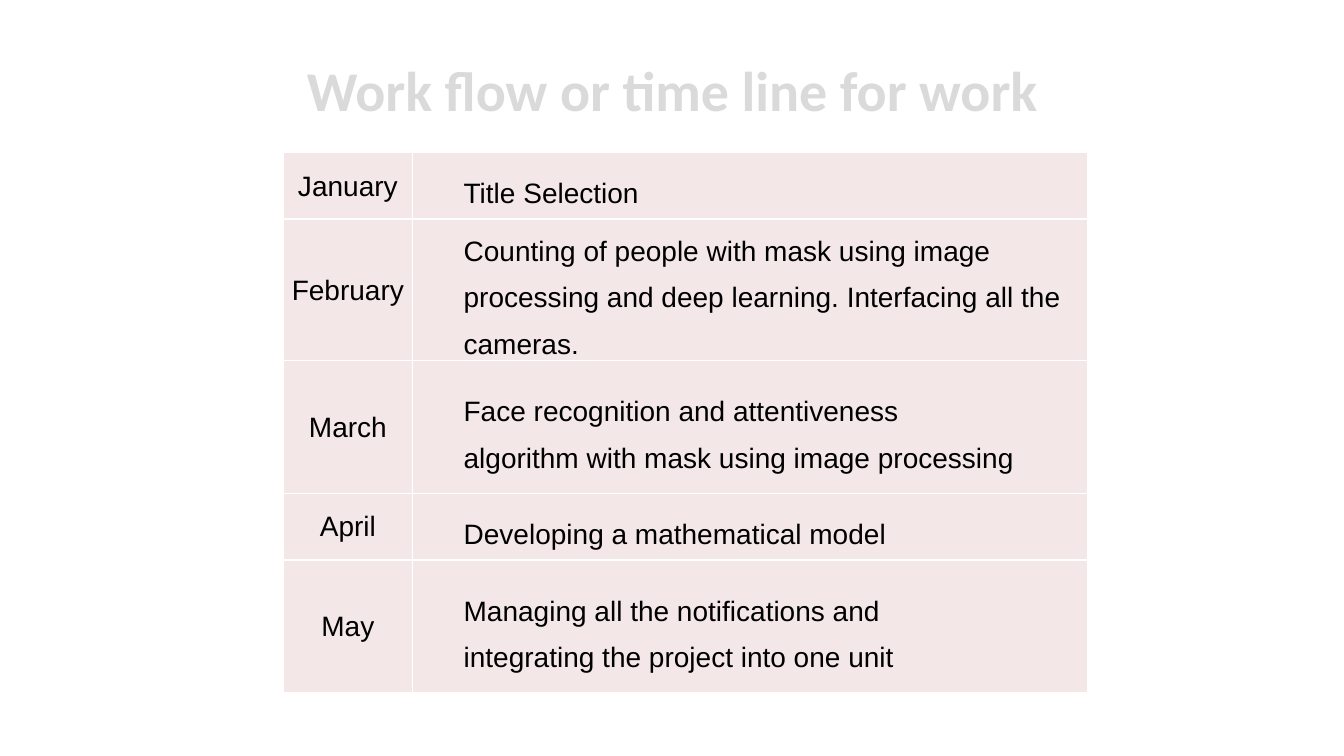
from dataclasses import dataclass

from lxml.etree import SubElement
from pptx import Presentation
from pptx.dml.color import RGBColor
from pptx.enum.text import MSO_ANCHOR as Anchor, MSO_AUTO_SIZE as AutoSize, PP_ALIGN as Align
from pptx.oxml import parse_xml
from pptx.oxml.ns import nsdecls, qn
from pptx.util import Pt


@dataclass(frozen=True)
class Theme:
    title_color: str = "DADADA"
    text_color: str = "000000"
    cell_fill: str = "F3E8E7"
    border: str = "FFFFFF"
    title_font: str = "Calibri"
    body_font: str = "Arial"
    title_size: float = 40
    body_size: float = 20


SCHEDULE = [
    ("January", "Title Selection", 47.5),
    ("February", "Counting of people with mask using image processing and deep learning. "
                 "Interfacing all the cameras.", 75),
    ("March", "Face recognition and attentiveness\nalgorithm with mask using image processing", 95),
    ("April", "Developing a mathematical model", 47.5),
    ("May", "Managing all the notifications and\nintegrating the project into one unit", 95),
]
COLUMN_WIDTHS = (92, 482.2)


def write_text(frame, text, *, font, size, color, bold=False, align=Align.LEFT,
               spacing=None, indent=0):
    """Fill the first paragraph of a text frame; newlines become line breaks."""
    paragraph = frame.paragraphs[0]
    paragraph.alignment = align
    if spacing:
        paragraph.line_spacing = spacing
    if indent:
        properties = paragraph._p.get_or_add_pPr()
        properties.set("marL", str(Pt(indent)))
        properties.set("indent", "0")
    for index, line in enumerate(text.split("\n")):
        if index:
            paragraph.add_line_break()
        run = paragraph.add_run()
        run.text = line
        run.font.name = font
        run.font.size = Pt(size)
        run.font.bold = bold
        run.font.color.rgb = RGBColor.from_string(color)
    return paragraph


def add_text_shadow(run):
    shadow = parse_xml(
        f'<a:effectLst {nsdecls("a")}><a:outerShdw blurRad="38100" dist="38100" dir="2700000">'
        '<a:srgbClr val="000000"><a:alpha val="43000"/></a:srgbClr></a:outerShdw></a:effectLst>')
    run._r.get_or_add_rPr().find(qn("a:solidFill")).addnext(shadow)


def add_cell_borders(cell, color, width=1):
    properties = cell._tc.get_or_add_tcPr()
    for index, side in enumerate(("lnL", "lnR", "lnT", "lnB")):
        line = parse_xml(f'<a:{side} {nsdecls("a")} w="{Pt(width)}"/>')
        fill = SubElement(line, qn("a:solidFill"))
        SubElement(fill, qn("a:srgbClr"), val=color)
        properties.insert(index, line)


class SlideBuilder:
    def __init__(self, slide, theme):
        self.slide = slide
        self.theme = theme

    def title(self, text, left, top, width, height):
        shape = self.slide.shapes.title
        shape.left, shape.top, shape.width, shape.height = map(Pt, (left, top, width, height))
        frame = shape.text_frame
        frame.auto_size = AutoSize.NONE
        frame.vertical_anchor = Anchor.MIDDLE
        paragraph = write_text(frame, text, font=self.theme.title_font, size=self.theme.title_size,
                               color=self.theme.title_color, bold=True, align=Align.CENTER)
        add_text_shadow(paragraph.runs[0])

    def schedule_table(self, schedule, left, top, column_widths):
        height = sum(row_height for _, _, row_height in schedule)
        table = self.slide.shapes.add_table(
            len(schedule), len(column_widths), Pt(left), Pt(top),
            Pt(sum(column_widths)), Pt(height)).table
        table.first_row = table.horz_banding = False
        for column, width in zip(table.columns, column_widths):
            column.width = Pt(width)
        for row, (month, task, row_height) in zip(table.rows, schedule):
            row.height = Pt(row_height)
            self.cell(row.cells[0], month, align=Align.CENTER)
            self.cell(row.cells[1], task, spacing=1.5, indent=36)

    def cell(self, cell, text, **text_format):
        cell.margin_left = cell.margin_right = cell.margin_top = Pt(0.7)
        cell.margin_bottom = 0
        cell.vertical_anchor = Anchor.MIDDLE
        cell.fill.solid()
        cell.fill.fore_color.rgb = RGBColor.from_string(self.theme.cell_fill)
        add_cell_borders(cell, self.theme.border)
        write_text(cell.text_frame, text, font=self.theme.body_font, size=self.theme.body_size,
                   color=self.theme.text_color, **text_format)


def main():
    presentation = Presentation()
    presentation.slide_width, presentation.slide_height = Pt(960), Pt(540)
    title_only = presentation.slide_layouts.get_by_name("Title Only")
    builder = SlideBuilder(presentation.slides.add_slide(title_only), Theme())
    builder.title("Work flow or time line for work", 72.7, 25.2, 815, 76.3)
    builder.schedule_table(SCHEDULE, 202.5, 109, COLUMN_WIDTHS)
    presentation.save("out.pptx")


if __name__ == "__main__":
    main()
